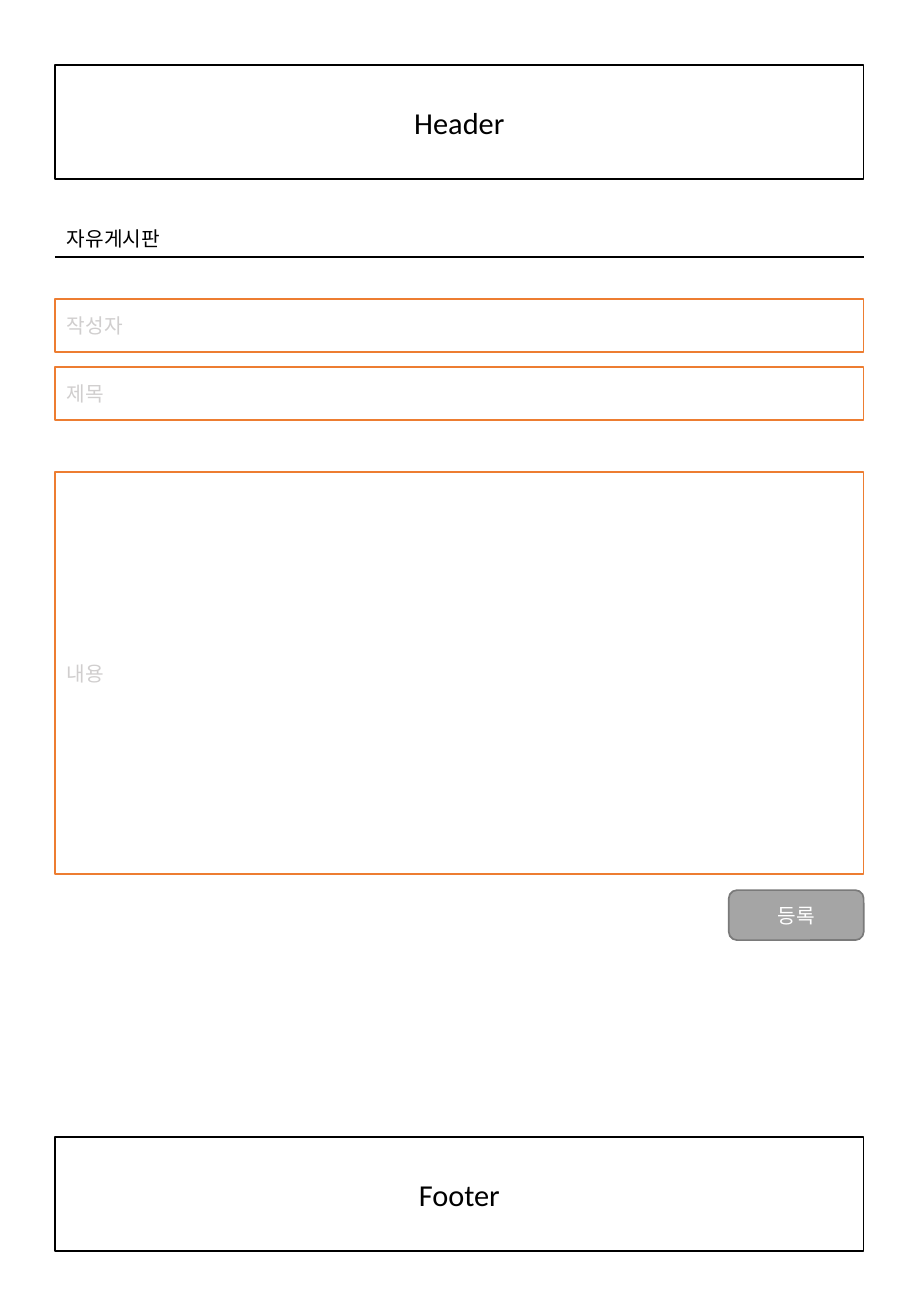
from pptx import Presentation
from pptx.dml.color import RGBColor
from pptx.enum.shapes import MSO_CONNECTOR, MSO_SHAPE
from pptx.enum.text import MSO_ANCHOR, MSO_AUTO_SIZE, PP_ALIGN
from pptx.oxml.ns import qn
from pptx.util import Inches, Pt
from lxml import etree

RECTANGLE, ROUNDED = MSO_SHAPE.RECTANGLE, MSO_SHAPE.ROUNDED_RECTANGLE
STRAIGHT = MSO_CONNECTOR.STRAIGHT
LEFT, CENTER = PP_ALIGN.LEFT, PP_ALIGN.CENTER
TOP, MIDDLE = MSO_ANCHOR.TOP, MSO_ANCHOR.MIDDLE
FIT_SHAPE = MSO_AUTO_SIZE.SHAPE_TO_FIT_TEXT

BLACK = RGBColor(0x00, 0x00, 0x00)
WHITE = RGBColor(0xFF, 0xFF, 0xFF)
ORANGE = RGBColor(0xED, 0x7D, 0x31)
HINT_GRAY = RGBColor(0xD0, 0xCE, 0xCE)
BUTTON_GRAY = RGBColor(0xA5, 0xA5, 0xA5)
BUTTON_EDGE = RGBColor(0x7A, 0x7A, 0x7A)

FONT = "Calibri"
SCALE = Inches(1) / 121.5
MARGIN, CONTENT_WIDTH = 55, 809
BAR_HEIGHT, FIELD_HEIGHT = 114, 53


def emu(*pixels):
    """Turn pixel lengths into EMU."""
    return [round(pixel * SCALE) for pixel in pixels]


def write_text(shape, text, size=12, color=BLACK, align=LEFT, anchor=MIDDLE, wrap=True):
    """Put one formatted paragraph into a shape."""
    frame = shape.text_frame
    frame.word_wrap = wrap
    frame.vertical_anchor = anchor
    paragraph = frame.paragraphs[0]
    paragraph.alignment = align
    run = paragraph.add_run()
    run.text = text
    run.font.name = FONT
    run.font.size = Pt(size)
    run.font.color.rgb = color


def add_box(slide, box, text, kind=RECTANGLE, fill=WHITE, line=BLACK, **text_format):
    """Add a filled, outlined shape with a label."""
    shape = slide.shapes.add_shape(kind, *emu(*box))
    shape.shadow.inherit = False
    shape.fill.solid()
    shape.fill.fore_color.rgb = fill
    shape.line.color.rgb = line
    shape.line.width = Pt(1)
    write_text(shape, text, **text_format)


def add_page_bar(slide, box, text):
    """Add the header or footer bar."""
    add_box(slide, box, text, size=18, align=CENTER)


def add_board_title(slide, box, text):
    """Add the board title with a rule along the bottom of its box."""
    left, top, width, height = box
    rule = slide.shapes.add_connector(
        STRAIGHT, *emu(left, top + height, left + width, top + height))
    rule.line.color.rgb = BLACK
    rule.line.width = Pt(1)
    etree.SubElement(rule._element.spPr, qn("a:effectLst"))
    title = slide.shapes.add_textbox(*emu(left, top, 126, height))
    write_text(title, text, anchor=TOP, wrap=False)
    title.text_frame.auto_size = FIT_SHAPE


def add_post_form(slide, box):
    """Add the input fields and the submit button."""
    left, top, width, height = box
    button_width, button_height = 135, 50
    fields = [("작성자", 0, FIELD_HEIGHT), ("제목", 68, FIELD_HEIGHT), ("내용", 173, 402)]
    for hint, offset, field_height in fields:
        add_box(slide, (left, top + offset, width, field_height), hint,
                line=ORANGE, color=HINT_GRAY)
    button = (left + width - button_width, top + height - button_height,
              button_width, button_height)
    add_box(slide, button, "등록", kind=ROUNDED, fill=BUTTON_GRAY,
            line=BUTTON_EDGE, color=WHITE, align=CENTER)


def build_write_page(presentation):
    """Lay out the page for writing a post."""
    slide = presentation.slides.add_slide(presentation.slide_layouts[6])
    for text, top in (("Header", 65), ("Footer", 1137)):
        add_page_bar(slide, (MARGIN, top, CONTENT_WIDTH, BAR_HEIGHT), text)
    add_board_title(slide, (MARGIN, 220, CONTENT_WIDTH, 37), "자유게시판")
    add_post_form(slide, (MARGIN, 299, CONTENT_WIDTH, 641))


presentation = Presentation()
presentation.slide_width = Inches(7.5)
presentation.slide_height = Inches(10.83)
build_write_page(presentation)
presentation.save("out.pptx")
